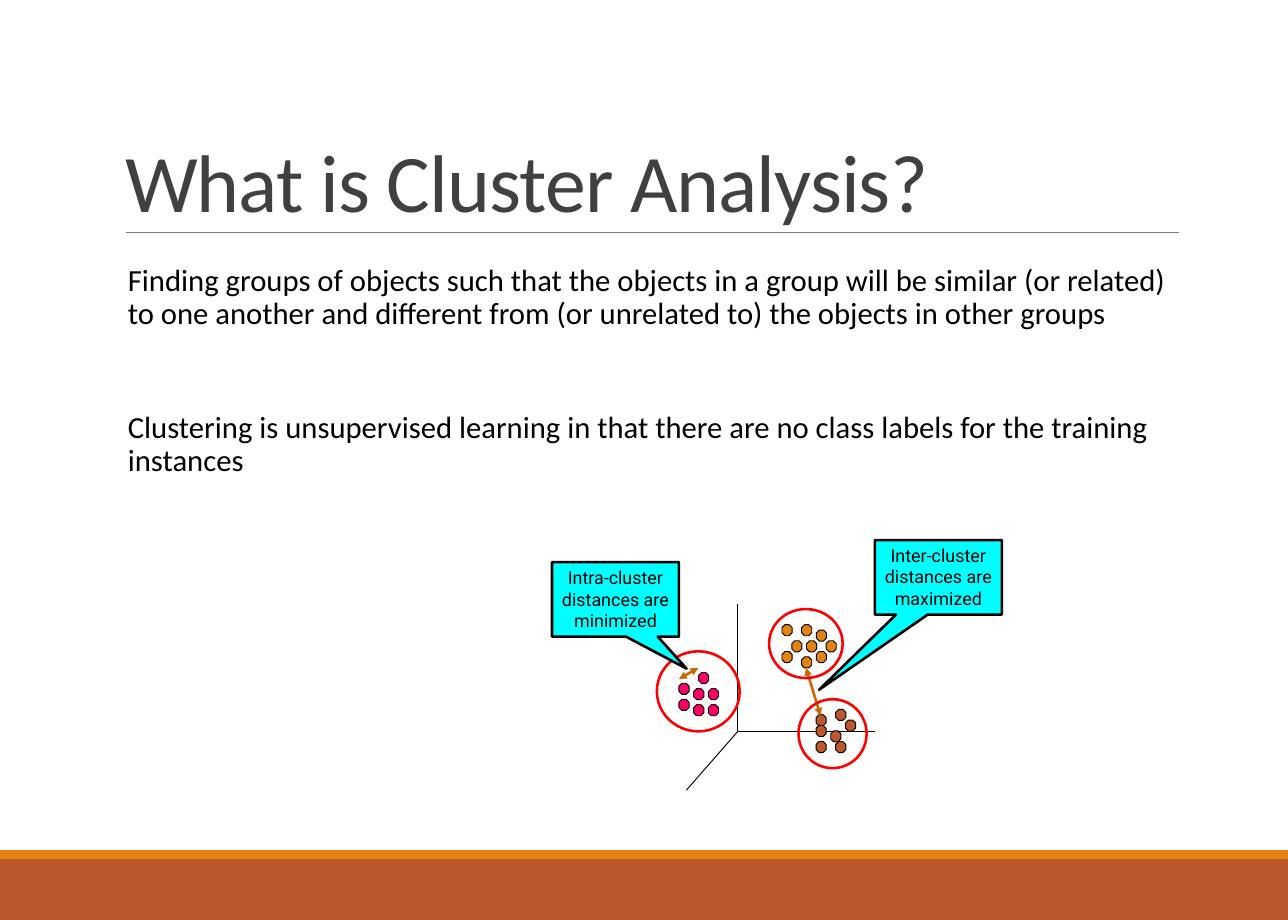
from collections import namedtuple

from lxml.etree import SubElement
from pptx import Presentation
from pptx.dml.color import RGBColor
from pptx.enum.shapes import MSO_CONNECTOR, MSO_SHAPE
from pptx.enum.text import MSO_ANCHOR, MSO_AUTO_SIZE, PP_ALIGN
from pptx.oxml.ns import qn
from pptx.util import Inches, Pt

BLACK = RGBColor(0x00, 0x00, 0x00)
CHARCOAL = RGBColor(0x40, 0x40, 0x40)
GRAY = RGBColor(0x80, 0x80, 0x80)
ORANGE = RGBColor(0xE4, 0x83, 0x12)
RUST = RGBColor(0xBD, 0x58, 0x2C)
PINK = RGBColor(0xFF, 0x00, 0x66)
RED = RGBColor(0xFF, 0x00, 0x00)
CYAN = RGBColor(0x00, 0xFF, 0xFF)
ARROW_BROWN = RGBColor(0xCC, 0x66, 0x00)

Box = namedtuple("Box", "left top width height")
Cluster = namedtuple("Cluster", "color origin cells ring")

SLIDE = Box(0, 0, 14, 10)
TITLE = Box(1.26, 0.42, 11.55, 2.12)
BODY = Box(1.26, 2.83, 11.55, 5.87)
DIAGRAM = Box(6, 5.87, 4.89, 2.72)

DOT_WIDTH, DOT_HEIGHT = 0.11, 0.12
DOT_COLUMN, DOT_ROW = 0.16 / 3, 0.35 / 6

STATEMENTS = [
    "Finding groups of objects such that the objects in a group will be similar "
    "(or related) to one another and different from (or unrelated to) the objects "
    "in other groups",
    "Clustering is unsupervised learning in that there are no class labels for "
    "the training instances",
]
CLUSTERS = [
    Cluster(ORANGE, (2.5, 0.92),
            [(0, 0), (4, 0), (7, 1), (2, 3), (5, 3), (9, 3), (0, 5), (7, 5), (4, 6)],
            Box(2.36, 0.75, 0.8, 0.75)),
    Cluster(PINK, (1.38, 1.44),
            [(4, 0), (0, 2), (3, 3), (6, 3), (0, 5), (3, 6), (6, 6)],
            Box(1.14, 1.21, 0.9, 0.87)),
    Cluster(RUST, (2.87, 1.84),
            [(4, 0), (0, 1), (6, 2), (0, 3), (3, 4), (0, 6), (4, 6)],
            Box(2.68, 1.73, 0.74, 0.75)),
]
AXIS_ORIGIN = (2.02, 2.08)
AXIS_ENDS = [(2.02, 0.69), (3.51, 2.08), (1.46, 2.72)]
DISTANCES = [((2.92, 1.91), (2.76, 1.39)), ((1.38, 1.51), (1.59, 1.39))]
CALLOUTS = [
    ("Inter-cluster distances are maximized", Box(3.51, 0, 1.38, 0.81), (-0.94, 1.51)),
    ("Intra-cluster distances are minimized", Box(0, 0.24, 1.38, 0.81), (0.56, 0.93)),
]


def within(parent, box):
    """Return a box given relative to its parent in slide coordinates."""
    return Box(parent.left + box.left, parent.top + box.top, box.width, box.height)


def add_outline(shapes, kind, box, fill=None, line=None, weight=0.75):
    """Add a preset shape with an optional fill and outline."""
    shape = shapes.add_shape(kind, *map(Inches, box))
    shape.shadow.inherit = False
    if fill is None:
        shape.fill.background()
    else:
        shape.fill.solid()
        shape.fill.fore_color.rgb = fill
    if line is None:
        shape.line.fill.background()
    else:
        shape.line.color.rgb = line
        shape.line.width = Pt(weight)
    return shape


def add_line(shapes, parent, start, end, color, weight, arrows=False):
    """Add a straight line, with arrowheads at both ends on request."""
    points = [parent.left + start[0], parent.top + start[1],
              parent.left + end[0], parent.top + end[1]]
    connector = shapes.add_connector(MSO_CONNECTOR.STRAIGHT, *map(Inches, points))
    connector.line.color.rgb = color
    connector.line.width = Pt(weight)
    if arrows:
        line = connector.line._get_or_add_ln()
        for end_tag in ("a:headEnd", "a:tailEnd"):
            SubElement(line, qn(end_tag), type="triangle")
    SubElement(connector._element.spPr, qn("a:effectLst"))


def format_paragraph(paragraph, font_name, size, color, alignment=PP_ALIGN.LEFT):
    """Set the font and alignment of a paragraph."""
    paragraph.alignment = alignment
    paragraph.font.name = font_name
    paragraph.font.size = Pt(size)
    paragraph.font.color.rgb = color


def add_footer_bars(slide, box):
    """Add the two coloured bars along the bottom of the slide."""
    for share_top, share_height, color in ((0.933, 0.067, RUST), (0.924, 0.01, ORANGE)):
        bar = Box(0, box.height * share_top, box.width, box.height * share_height)
        add_outline(slide.shapes, MSO_SHAPE.RECTANGLE, within(box, bar), color)


def add_title(slide, box):
    """Place the title above its rule."""
    add_line(slide.shapes, box, (0.11, 2.11), (box.width + 0.01, 2.11), GRAY, 0.5)
    title = slide.shapes.title
    title.left, title.top, title.width, title.height = map(Inches, box)
    frame = title.text_frame
    frame.text = "What is Cluster Analysis?"
    frame.auto_size = MSO_AUTO_SIZE.NONE
    frame.vertical_anchor = MSO_ANCHOR.BOTTOM
    paragraph = frame.paragraphs[0]
    format_paragraph(paragraph, "Calibri", 64, CHARCOAL)
    paragraph.line_spacing = 0.85
    paragraph.runs[0]._r.get_or_add_rPr().set("spc", "-70")


def add_body(slide, box):
    """Add the statements as widely spaced paragraphs."""
    frame = slide.shapes.add_textbox(*map(Inches, box)).text_frame
    frame.word_wrap = True
    frame.margin_left, frame.margin_right = Inches(0.13), 0
    for index, statement in enumerate(STATEMENTS):
        paragraph = frame.add_paragraph() if index else frame.paragraphs[0]
        paragraph.text = statement
        format_paragraph(paragraph, "Calibri", 24, BLACK)
        paragraph.line_spacing = 0.9
        paragraph.space_before = Pt(63 if index else 0)


def add_dots(shapes, box, cluster):
    """Add the members of a cluster on its grid of columns and rows."""
    left, top = cluster.origin
    for column, row in cluster.cells:
        dot = Box(left + column * DOT_COLUMN, top + row * DOT_ROW, DOT_WIDTH, DOT_HEIGHT)
        add_outline(shapes, MSO_SHAPE.OCTAGON, within(box, dot), cluster.color, BLACK)


def add_callout(shapes, box, text, pointer):
    """Add a label whose pointer is given in shares of its size."""
    callout = add_outline(shapes, MSO_SHAPE.RECTANGULAR_CALLOUT, box, CYAN, BLACK, 2)
    callout.adjustments[0], callout.adjustments[1] = pointer
    frame = callout.text_frame
    frame.word_wrap = True
    frame.vertical_anchor = MSO_ANCHOR.TOP
    frame.margin_left = frame.margin_right = Inches(0.05)
    frame.text = text
    format_paragraph(frame.paragraphs[0], "Roboto", 14, BLACK, PP_ALIGN.CENTER)


def add_diagram(slide, box):
    """Add the axes, clusters, distance arrows and callouts as one group."""
    shapes = slide.shapes.add_group_shape().shapes
    for axis_end in AXIS_ENDS:
        add_line(shapes, box, AXIS_ORIGIN, axis_end, BLACK, 0.75)
    for cluster in CLUSTERS:
        add_dots(shapes, box, cluster)
    for start, end in DISTANCES:
        add_line(shapes, box, start, end, ARROW_BROWN, 2, arrows=True)
    for cluster in CLUSTERS:
        add_outline(shapes, MSO_SHAPE.OVAL, within(box, cluster.ring), line=RED, weight=2)
    for text, label, pointer in CALLOUTS:
        add_callout(shapes, within(box, label), text, pointer)


def main():
    """Build and save the slide."""
    presentation = Presentation()
    presentation.slide_width = Inches(SLIDE.width)
    presentation.slide_height = Inches(SLIDE.height)
    slide = presentation.slides.add_slide(presentation.slide_layouts.get_by_name("Title Only"))
    add_footer_bars(slide, SLIDE)
    add_title(slide, TITLE)
    add_body(slide, BODY)
    add_diagram(slide, DIAGRAM)
    presentation.save("out.pptx")


if __name__ == "__main__":
    main()
